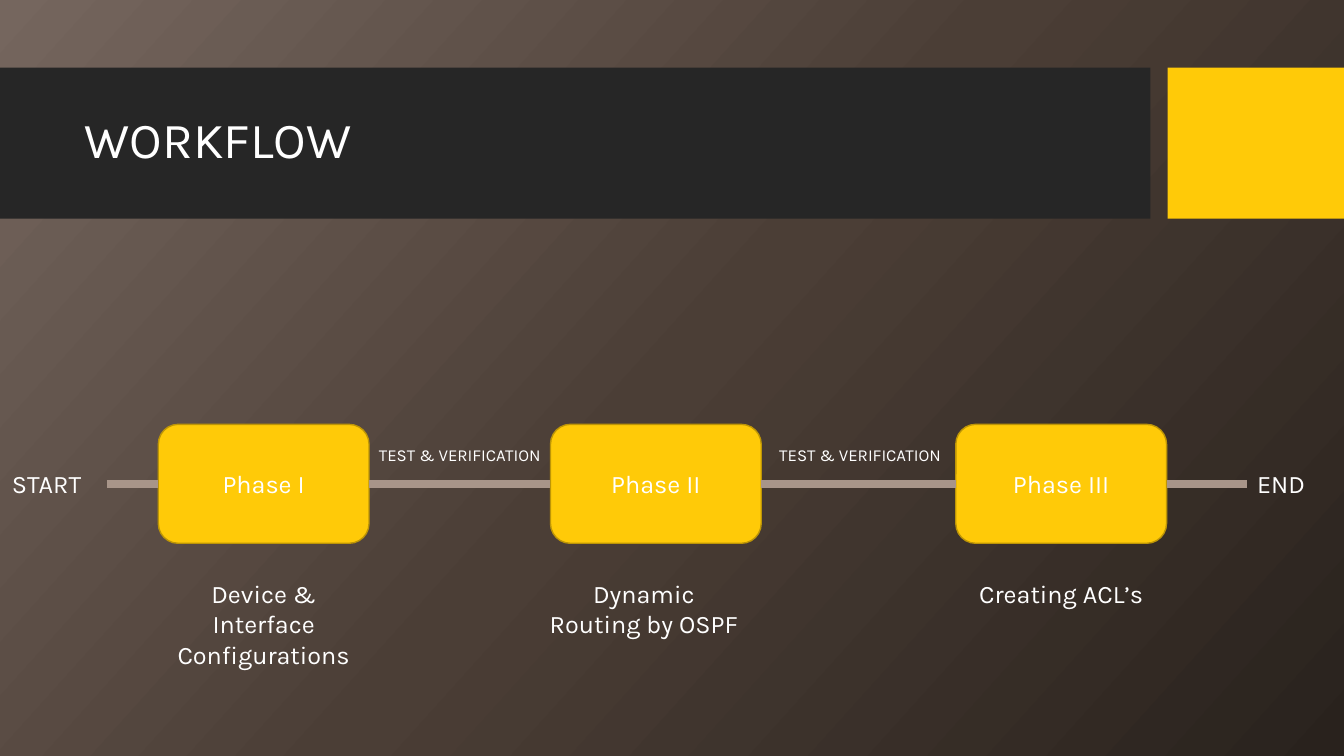
from copy import deepcopy
from dataclasses import dataclass

from lxml import etree
from pptx import Presentation
from pptx import util as u
from pptx.dml.color import RGBColor
from pptx.enum import shapes, text
from pptx.oxml import ns


@dataclass(frozen=True)
class Theme:
    font: str = "Karla"
    white: str = "FFFFFF"
    band: str = "262626"
    accent: str = "FFCA08"
    outline: str = "BD9506"
    link: str = "A89589"
    backdrop: tuple = ("75665E", "4B3E36", "29221D")
    title: int = 36
    body: int = 18
    small: int = 12


theme = Theme()
align = text.PP_ALIGN

# Grid, in inches
WIDTH, HEIGHT = 13.33, 7.5
BAND_TOP, BAND_HEIGHT = 0.67, 1.5
BOX_WIDTH, BOX_HEIGHT = 2.09, 1.18
AXIS = 4.8                      # height of the line through all phases
CAPTION_TOP = 5.69
LABEL_WIDTH, LABEL_HEIGHT = 1.04, 0.4
CHECK_TOP = 4.36

deck = Presentation()
deck.slide_width, deck.slide_height = u.Inches(WIDTH), u.Inches(HEIGHT)
page = deck.slides.add_slide(deck.slide_layouts[5])


def write(shape, words, size, alignment):
    frame = shape.text_frame
    frame.word_wrap = True
    frame.text = words
    para = frame.paragraphs[0]
    para.alignment = alignment
    para.font.name = theme.font
    para.font.size = u.Pt(size)
    para.font.color.rgb = RGBColor.from_string(theme.white)
    return para


def add_box(kind, left, top, width, height, fill=None):
    """Add a filled preset shape, or a growing text box when kind is None."""
    place = [u.Inches(n) for n in (left, top, width, height)]
    if kind is None:
        box = page.shapes.add_textbox(*place)
        box.text_frame.auto_size = text.MSO_AUTO_SIZE.SHAPE_TO_FIT_TEXT
        return box
    box = page.shapes.add_shape(kind, *place)
    box.shadow.inherit = False
    box.fill.solid()
    box.fill.fore_color.rgb = RGBColor.from_string(fill)
    box.line.fill.background()
    return box


# Diagonal three-colour background
backdrop = page.background.fill
backdrop.gradient()
backdrop.gradient_angle = 360 - 42
stop_list = page.element.find(".//" + ns.qn("a:gsLst"))
stop_list.insert(1, deepcopy(stop_list[0]))
for index, (stop, colour) in enumerate(zip(backdrop.gradient_stops, theme.backdrop)):
    stop.position = index / 2
    stop.color.rgb = RGBColor.from_string(colour)

# Title band and accent block
for left, width, colour in ((0, 11.41, theme.band), (11.58, 1.75, theme.accent)):
    add_box(shapes.MSO_SHAPE.RECTANGLE, left, BAND_TOP, width, BAND_HEIGHT, colour)

# Title, brought in front of the band
title = page.shapes.title
title.left, title.top = u.Inches(0.74), u.Inches(0.82)
title.width, title.height = u.Inches(10.51), u.Inches(1.18)
title.text_frame.vertical_anchor = text.MSO_ANCHOR.MIDDLE
write(title, "WORKFLOW", theme.title, align.LEFT).line_spacing = 0.9
page.shapes.element.append(title.element)

# Phases with their captions
phases = []
for name, left, caption, caption_left in (
    ("Phase I", 1.57, "Device & Interface Configurations", 1.57),
    ("Phase II", 5.46, "Dynamic Routing by OSPF", 5.34),
    ("Phase III", 9.48, "Creating ACL’s", 9.48),
):
    phase = add_box(shapes.MSO_SHAPE.ROUNDED_RECTANGLE, left, AXIS - BOX_HEIGHT / 2,
                    BOX_WIDTH, BOX_HEIGHT, theme.accent)
    phase.line.color.rgb = RGBColor.from_string(theme.outline)
    phase.line.width = u.Pt(1)
    phase.text_frame.vertical_anchor = text.MSO_ANCHOR.MIDDLE
    write(phase, name, theme.body, align.CENTER)
    phases.append(phase)
    caption_box = add_box(None, caption_left, CAPTION_TOP, BOX_WIDTH, LABEL_HEIGHT)
    write(caption_box, caption, theme.body, align.CENTER)

# Start and end labels
ends = []
for words, left in (("START", 0.02), ("END", 12.37)):
    label = add_box(None, left, AXIS - LABEL_HEIGHT / 2, LABEL_WIDTH, LABEL_HEIGHT)
    write(label, words, theme.body, align.LEFT)
    ends.append(label)

# Links from start through every phase to end
chain = [ends[0], *phases, ends[1]]
for before, after in zip(chain, chain[1:]):
    link = page.shapes.add_connector(shapes.MSO_CONNECTOR.STRAIGHT, 0, 0, 0, 0)
    link.begin_connect(before, 3)
    link.end_connect(after, 1)
    link.line.color.rgb = RGBColor.from_string(theme.link)
    link.line.width = u.Pt(6)
    etree.SubElement(link.element.spPr, ns.qn("a:effectLst"))

# Checks between phases
for left in (3.66, 7.63):
    check = add_box(None, left, CHECK_TOP, 3.29, 0.3)
    write(check, "TEST & VERIFICATION", theme.small, align.LEFT)

deck.save("out.pptx")
